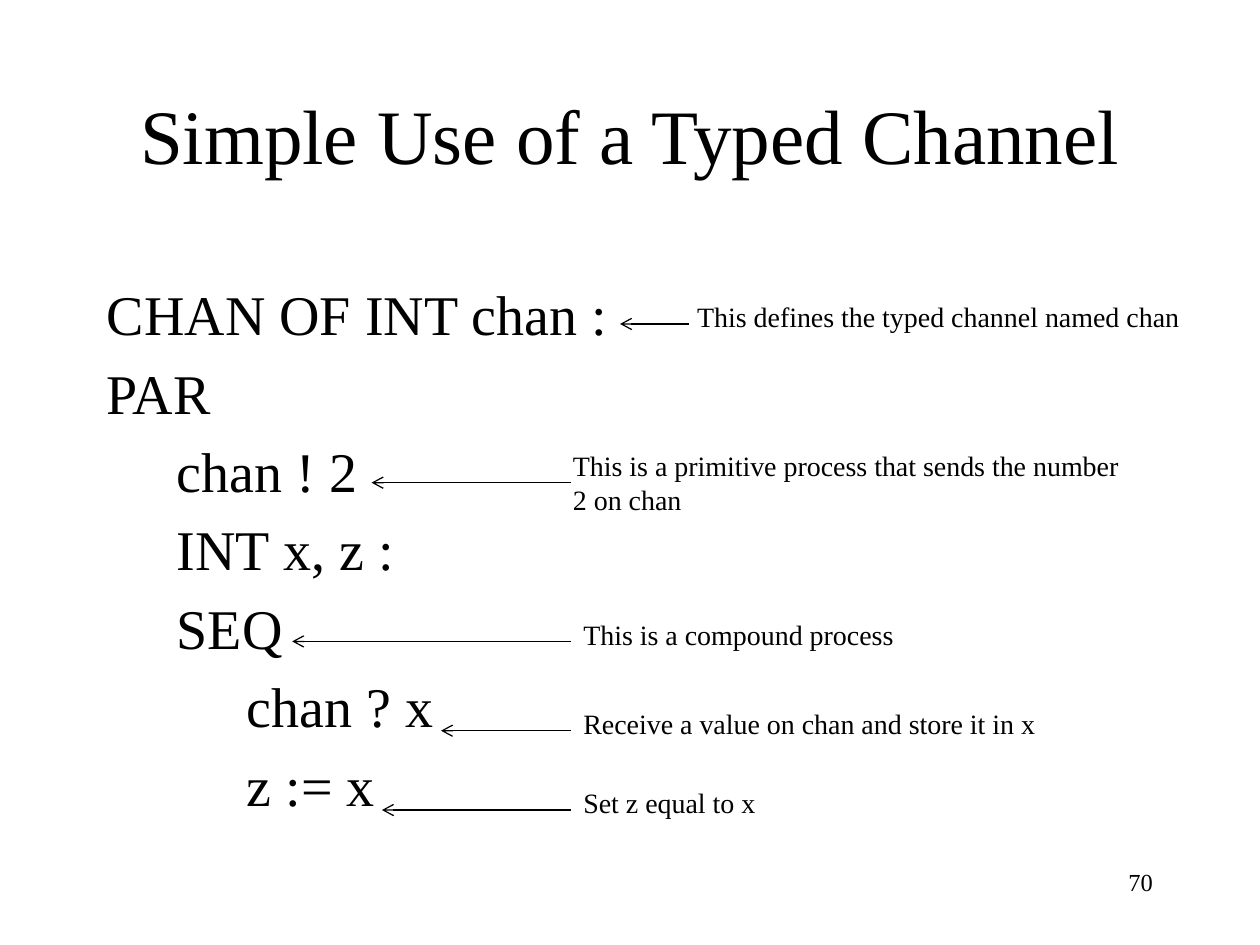
from typing import NamedTuple

from lxml.etree import SubElement as Sub
from pptx import Presentation
from pptx.dml.color import RGBColor as Rgb
from pptx.enum.shapes import MSO_CONNECTOR as Link
from pptx.enum.text import MSO_ANCHOR as Anchor, MSO_AUTO_SIZE as Fit, PP_ALIGN as Align
from pptx.oxml.ns import qn
from pptx.util import Cm, Pt

FONT = "Times New Roman"
INK = "000000"
STEP = 1.41  # indent of one code level, cm
EDGE = 11.51  # where arrows to the lower notes start, cm


class Code(NamedTuple):
    text: str
    depth: int


class Note(NamedTuple):
    text: str
    left: float
    top: float
    high: float
    start: float
    tip: float
    line: float
    align: Align = Align.LEFT


CODE = [
    Code("CHAN OF INT chan :", 0),
    Code("PAR", 0),
    Code("chan ! 2", 1),
    Code("INT x, z :", 1),
    Code("SEQ", 1),
    Code("chan ? x", 2),
    Code("z := x", 2),
]

NOTES = [
    Note("This defines the typed channel named chan",
         13.11, 5.92, 0.94, 13.89, 12.5, 6.53, Align.CENTER),
    Note("This is a primitive process that sends the number 2 on chan",
         11.3, 8.92, 1.63, EDGE, 7.49, 9.73),
    Note("This is a compound process", EDGE, 12.32, 0.94, EDGE, 5.89, 12.93),
    Note("Receive a value on chan and store it in x",
         EDGE, 14.12, 0.94, EDGE, 8.89, 14.73),
    Note("Set z equal to x", EDGE, 15.72, 0.94, EDGE, 7.7, 16.33),
]


def paint(target, tone: str) -> None:
    target.rgb = Rgb.from_string(tone)


def style(para, size: float, align: Align) -> None:
    para.alignment = align
    para.font.name = FONT
    para.font.size = Pt(size)
    para.font.fill.solid()
    paint(para.font.fill.fore_color, INK)


def place(shape, left: float, top: float, wide: float, high: float) -> None:
    shape.left, shape.top = Cm(left), Cm(top)
    shape.width, shape.height = Cm(wide), Cm(high)


def label(slide, text: str, box: tuple, size: float, align: Align, gap: float = 0) -> None:
    frame = slide.shapes.add_textbox(*map(Cm, box)).text_frame
    frame.word_wrap = True
    para = frame.paragraphs[0]
    para.text = text
    para.space_before = Pt(gap)
    style(para, size, align)


def arrow(slide, start: float, tip: float, y: float) -> None:
    line = slide.shapes.add_connector(Link.STRAIGHT, Cm(start), Cm(y), Cm(tip), Cm(y))
    line.line.width = Pt(0.75)
    line.line.fill.solid()
    paint(line.line.fill.fore_color, INK)
    Sub(line.line._get_or_add_ln(), qn("a:tailEnd"), type="arrow")
    Sub(line._element.spPr, qn("a:effectLst"))


def listing(body) -> None:
    frame = body.text_frame
    frame.auto_size = Fit.NONE
    for i, code in enumerate(CODE):
        para = frame.add_paragraph() if i else frame.paragraphs[0]
        para.text = code.text
        style(para, 32, Align.LEFT)
        props = para._p.get_or_add_pPr()
        props.set("marL", str(Cm(STEP * code.depth)))
        props.set("indent", "0")
        Sub(props, qn("a:buNone"))


def main() -> None:
    deck = Presentation()
    deck.slide_width, deck.slide_height = Cm(25.4), Cm(19.05)
    slide = deck.slides.add_slide(deck.slide_layouts[1])

    # Title and code
    title, body = slide.placeholders
    place(title, 1.9, 1.12, 21.6, 3.17)
    title.text_frame.text = "Simple Use of a Typed Channel"
    title.text_frame.vertical_anchor = Anchor.MIDDLE
    title.text_frame.auto_size = Fit.NONE
    style(title.text_frame.paragraphs[0], 44, Align.CENTER)
    place(body, 1.9, 5.51, 21.6, 11.43)
    listing(body)

    # Notes with their arrows
    for note in NOTES:
        box = (note.left, note.top, 11.61, note.high)
        label(slide, note.text, box, 16, note.align, 2)
        arrow(slide, note.start, note.tip, note.line)

    # Page number
    label(slide, "70", (18.21, 17.35, 5.28, 1.27), 14, Align.RIGHT)

    deck.save("out.pptx")


if __name__ == "__main__":
    main()
